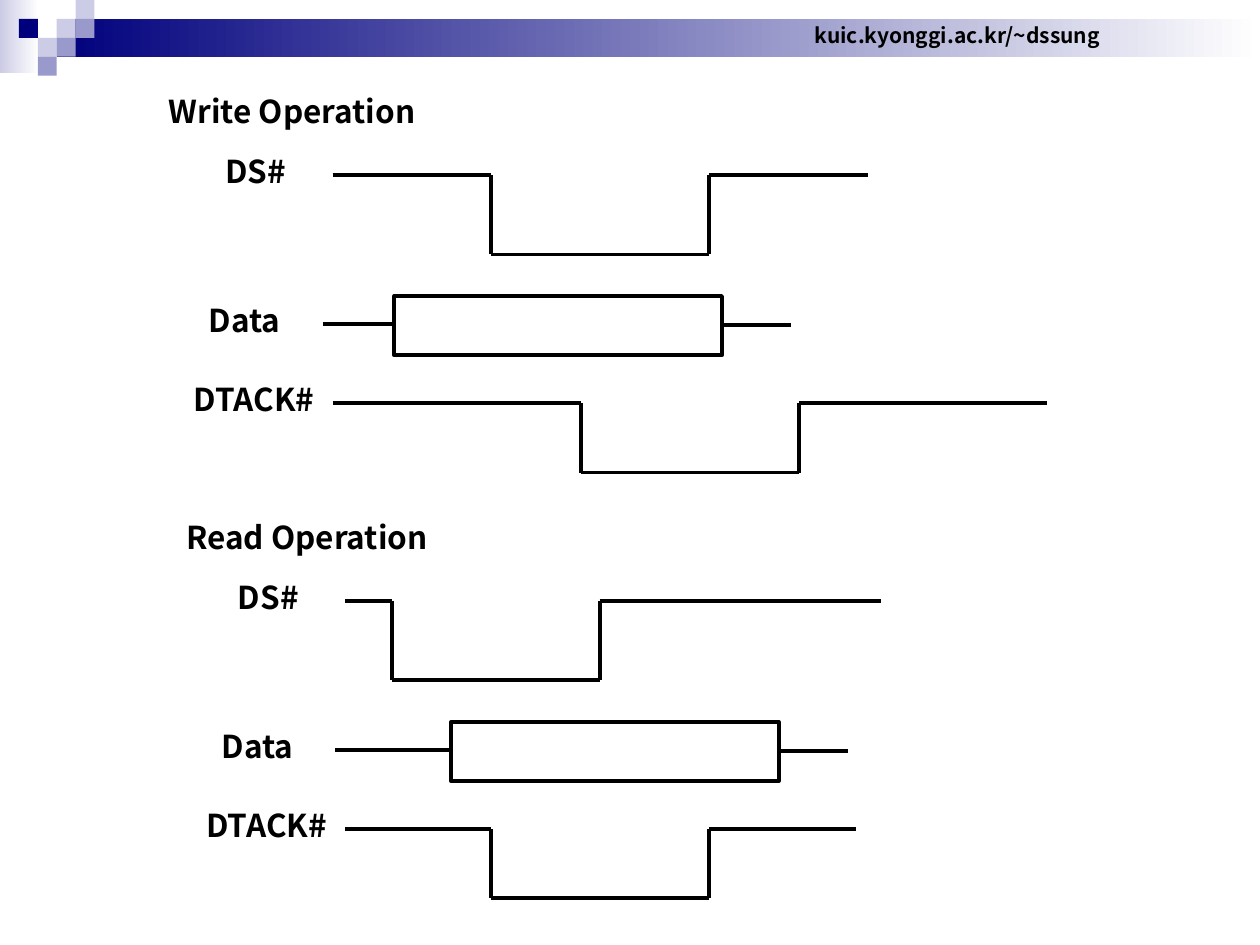
from pptx import Presentation
from pptx.dml.color import RGBColor
from pptx.enum.shapes import MSO_CONNECTOR, MSO_SHAPE
from pptx.enum.text import MSO_ANCHOR, MSO_AUTO_SIZE
from pptx.util import Inches, Pt
from lxml import etree

COLORS = {"ink": "000000", "paper": "FFFFFF", "navy": "00007D",
          "mid": "9999CC", "pale": "CCCCE6"}
RGB = {name: RGBColor.from_string(value) for name, value in COLORS.items()}
FONT = "Noto Sans CJK KR"
A = "http://schemas.openxmlformats.org/drawingml/2006/main"

prs = Presentation()
prs.slide_width, prs.slide_height = Inches(10), Inches(7.5)
s = prs.slides.add_slide(prs.slide_layouts[6])

# Fine grid: 1000 columns by 750 rows
COL, ROW = prs.slide_width // 1000, prs.slide_height // 750


def add_text(text, x, y, w, h, size, anchor=MSO_ANCHOR.TOP):
    tf = s.shapes.add_textbox(x * COL, y * ROW, w * COL, h * ROW).text_frame
    tf.word_wrap = False
    tf.auto_size = MSO_AUTO_SIZE.SHAPE_TO_FIT_TEXT
    tf.vertical_anchor = anchor
    p = tf.paragraphs[0]
    p.text = text
    p.font.name, p.font.size, p.font.bold = FONT, Pt(size), True
    p.font.color.rgb = RGB["ink"]


def add_signal(*points):
    for (x1, y1), (x2, y2) in zip(points, points[1:]):
        line = s.shapes.add_connector(MSO_CONNECTOR.STRAIGHT, x1 * COL, y1 * ROW,
                                      x2 * COL, y2 * ROW)
        line.line.color.rgb, line.line.width = RGB["ink"], Pt(2.25)
        etree.SubElement(line._element.spPr, f"{{{A}}}effectLst")


# Header: gradient bands fading to white
for x, y, w, h, start, end in [(0, 0, 31, 58, "paper", "pale"),
                               (45, 15, 955, 30, "paper", "navy")]:
    sp = s.shapes.add_shape(MSO_SHAPE.RECTANGLE, x * COL, y * ROW, w * COL, h * ROW)
    sp.shadow.inherit = False
    sp.line.fill.background()
    sp.fill.gradient()
    sp.fill.gradient_angle = 180
    for stop, color, position in zip(sp.fill.gradient_stops, (start, end), (0, 1)):
        stop.color.rgb, stop.position = RGB[color], position

# Header: checker squares, by column and row of the checker
TILE = 15
for col, row, color in [(3, 1, "pale"), (4, 0, "pale"), (4, 1, "mid"), (2, 2, "pale"),
                        (1, 1, "navy"), (3, 2, "mid"), (2, 3, "mid")]:
    sp = s.shapes.add_shape(MSO_SHAPE.RECTANGLE, col * TILE * COL, row * TILE * ROW,
                            TILE * COL, TILE * ROW)
    sp.shadow.inherit = False
    sp.line.fill.background()
    sp.fill.solid()
    sp.fill.fore_color.rgb = RGB[color]

add_text("kuic.kyonggi.ac.kr/~dssung", 637, 13, 247, 30, 12, MSO_ANCHOR.MIDDLE)

# Timing diagrams: left shift, top shift, heading (text, left, width), then for each
# strobe its start, fall, rise and end; for the data bus its start and box left
operations = [
    (0, 0, ("Write Operation", 124, 222),
     (264, 390, 563, 689), (256, 313), (264, 461, 634, 831)),
    (10, 338, ("Read Operation", 138, 216),
     (274, 311, 476, 699), (266, 358), (274, 390, 563, 679)),
]
BOX_W, BOX_H, TAIL = 260, 47, 55

for dx, dy, (heading, left, width), ds, (bus, box), dtack in operations:
    add_text(heading, left, 68 + dy, width, 40, 18)
    for text, x, y, w in [("DS#", 169, 116, 68), ("Data", 156, 234, 79),
                          ("DTACK#", 144, 297, 119)]:
        add_text(text, x + dx, y + dy, w, 40, 18)

    # Active-low strobes
    for (start, fall, rise, end), high, low in [(ds, 139, 202), (dtack, 320, 375)]:
        high, low = high + dy, low + dy
        add_signal((start, high), (fall, high), (fall, low),
                   (rise, low), (rise, high), (end, high))

    # Data bus with its valid window
    add_signal((bus, 257 + dy), (box, 257 + dy))
    sp = s.shapes.add_shape(MSO_SHAPE.RECTANGLE, box * COL, (235 + dy) * ROW,
                            BOX_W * COL, BOX_H * ROW)
    sp.shadow.inherit = False
    sp.fill.solid()
    sp.fill.fore_color.rgb = RGB["paper"]
    sp.line.color.rgb, sp.line.width = RGB["ink"], Pt(2.25)
    add_signal((box + BOX_W, 258 + dy), (box + BOX_W + TAIL, 258 + dy))

prs.save("out.pptx")
